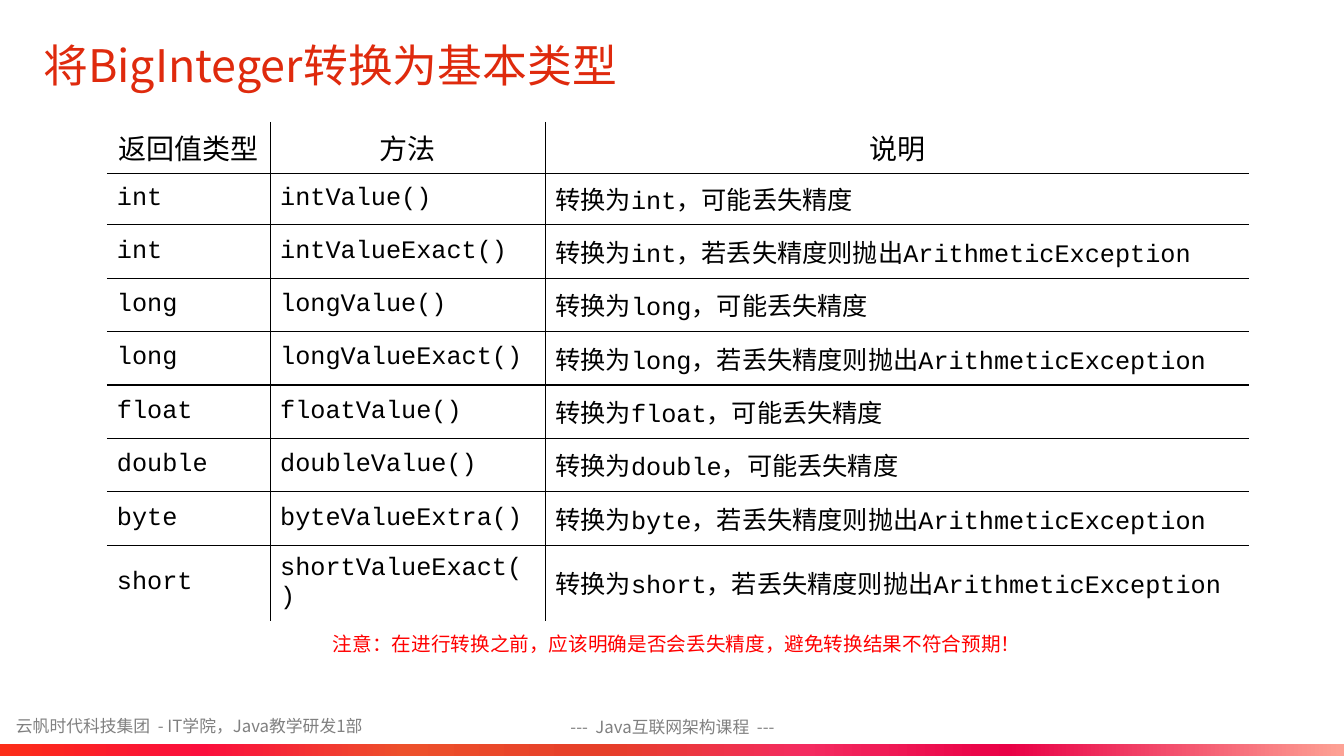
from lxml.etree import SubElement
from pptx import Presentation
from pptx.dml.color import RGBColor
from pptx.enum.shapes import MSO_SHAPE
from pptx.enum.text import MSO_ANCHOR as ANCHOR, MSO_AUTO_SIZE as AUTO_SIZE, PP_ALIGN as ALIGN
from pptx.oxml.ns import qn
from pptx.util import Inches, Pt

BLACK = RGBColor(0x00, 0x00, 0x00)
WHITE = RGBColor(0xFF, 0xFF, 0xFF)
GRAY = RGBColor(0x80, 0x80, 0x80)
TITLE_RED = RGBColor(0xDF, 0x2A, 0x0D)
NOTE_RED = RGBColor(0xFF, 0x00, 0x00)
BAR_STOPS = {
    0: RGBColor(0xFC, 0x2D, 0x18),
    15: RGBColor(0xFB, 0x0F, 0x3D),
    30: RGBColor(0xED, 0x50, 0x2B),
    45: RGBColor(0xE6, 0x3F, 0x29),
    60: RGBColor(0xF4, 0x2B, 0x60),
    75: RGBColor(0xE9, 0x00, 0x46),
    100: RGBColor(0xFD, 0xA2, 0x95),
}

SANS = "Noto Sans CJK SC"
MONO = "Courier New"

HEADERS = ["返回值类型", "方法", "说明"]
# Return type, method, whether a loss of precision raises an exception
METHODS = [
    ("int", "intValue()", False),
    ("int", "intValueExact()", True),
    ("long", "longValue()", False),
    ("long", "longValueExact()", True),
    ("float", "floatValue()", False),
    ("double", "doubleValue()", False),
    ("byte", "byteValueExtra()", True),
    ("short", "shortValueExact()", True),
]
COLUMN_WIDTHS = [1.62, 2.73, 6.98]
ROW_HEIGHTS = [0.51] * 2 + [0.53] * 7


def add_run(paragraph, text, size, color, name=SANS):
    run = paragraph.add_run()
    run.text = text
    for attribute, value in {"size": Pt(size), "name": name, "bold": False}.items():
        setattr(run.font, attribute, value)
    run.font.color.rgb = color
    SubElement(run.font._element, qn("a:ea")).set("typeface", SANS)


def fill_text(shape, text, size, color, align=ALIGN.LEFT):
    frame = shape.text_frame
    settings = {
        "word_wrap": True,
        "auto_size": AUTO_SIZE.NONE,
        "vertical_anchor": ANCHOR.MIDDLE,
    }
    for attribute, value in settings.items():
        setattr(frame, attribute, value)
    paragraph = frame.paragraphs[0]
    paragraph.alignment = align
    add_run(paragraph, text, size, color)


def add_label(slide, box, text, size, color, align=ALIGN.LEFT):
    shape = slide.shapes.add_textbox(*map(Inches, box))
    fill_text(shape, text, size, color, align)


def add_title(slide, box, text):
    title = slide.shapes.title
    for attribute, value in zip(("left", "top", "width", "height"), box):
        setattr(title, attribute, Inches(value))
    fill_text(title, text, 32, TITLE_RED)


def add_gradient_bar(slide, box):
    bar = slide.shapes.add_shape(MSO_SHAPE.RECTANGLE, *map(Inches, box))
    bar.shadow.inherit = False
    bar.line.fill.background()
    bar.fill.gradient()
    bar.fill.gradient_angle = 0
    stops = bar._element.spPr.find(".//" + qn("a:gsLst"))
    for stop in list(stops):
        stops.remove(stop)
    for percent, color in BAR_STOPS.items():
        stop = SubElement(stops, qn("a:gs"), pos=str(percent * 1000))
        SubElement(stop, qn("a:srgbClr"), val=str(color))


def set_borders(cell, visible):
    """Draw the sides named in visible and hide the others."""
    properties = cell._tc.get_or_add_tcPr()
    for index, side in enumerate("LRTB"):
        line = SubElement(properties, qn("a:ln" + side), w=str(Pt(1)))
        if side in visible:
            fill = SubElement(line, qn("a:solidFill"))
            SubElement(fill, qn("a:srgbClr"), val=str(BLACK))
        else:
            SubElement(line, qn("a:noFill"))
        properties.remove(line)
        properties.insert(index, line)


def description_runs(type_name, raises):
    runs = [("转换为", SANS), (type_name, MONO)]
    if raises:
        return runs + [("，若丢失精度则抛出", SANS), ("ArithmeticException", MONO)]
    return runs + [("，可能丢失精度", SANS)]


def add_method_table(slide, left, top):
    rows = [[[(header, SANS)] for header in HEADERS]]
    for type_name, method, raises in METHODS:
        rows.append([[(type_name, MONO)], [(method, MONO)],
                     description_runs(type_name, raises)])

    size = (sum(COLUMN_WIDTHS), sum(ROW_HEIGHTS))
    frame = slide.shapes.add_table(len(rows), len(HEADERS),
                                   *map(Inches, (left, top, *size)))
    table = frame.table
    table.first_row = table.horz_banding = False
    for column, width in zip(table.columns, COLUMN_WIDTHS):
        column.width = Inches(width)
    for row, height in zip(table.rows, ROW_HEIGHTS):
        row.height = Inches(height)

    last_row, last_column = len(rows) - 1, len(HEADERS) - 1
    for row_index, row in enumerate(rows):
        for column_index, runs in enumerate(row):
            cell = table.cell(row_index, column_index)
            cell.vertical_anchor = ANCHOR.MIDDLE
            cell.fill.solid()
            cell.fill.fore_color.rgb = WHITE
            # Only the inner grid lines show
            inner = {"L": column_index > 0, "R": column_index < last_column,
                     "T": row_index > 0, "B": row_index < last_row}
            set_borders(cell, [side for side, shown in inner.items() if shown])
            paragraph = cell.text_frame.paragraphs[0]
            paragraph.alignment = ALIGN.LEFT if row_index else ALIGN.CENTER
            for text, font_name in runs:
                add_run(paragraph, text, 18 if row_index else 20, BLACK, font_name)


def main():
    presentation = Presentation()
    presentation.slide_width = Inches(13.33)
    presentation.slide_height = Inches(7.5)
    slide = presentation.slides.add_slide(presentation.slide_layouts[5])

    # Footer
    add_label(slide, (0.06, 7.05, 4.42, 0.31),
              "云帆时代科技集团  - IT学院，Java教学研发1部", 12, GRAY)
    add_label(slide, (4.95, 7.05, 3.44, 0.32),
              "---  Java互联网架构课程  ---", 12, GRAY, ALIGN.CENTER)
    add_gradient_bar(slide, (0, 7.38, 13.33, 0.12))

    # Title, conversion methods and note
    add_title(slide, (0.33, 0.29, 9.84, 0.71), "将BigInteger转换为基本类型")
    add_method_table(slide, 1.06, 1.21)
    add_label(slide, (2.56, 6.09, 8.31, 0.59),
              "注意：在进行转换之前，应该明确是否会丢失精度，避免转换结果不符合预期！",
              14, NOTE_RED, ALIGN.CENTER)

    presentation.save("out.pptx")


main()
